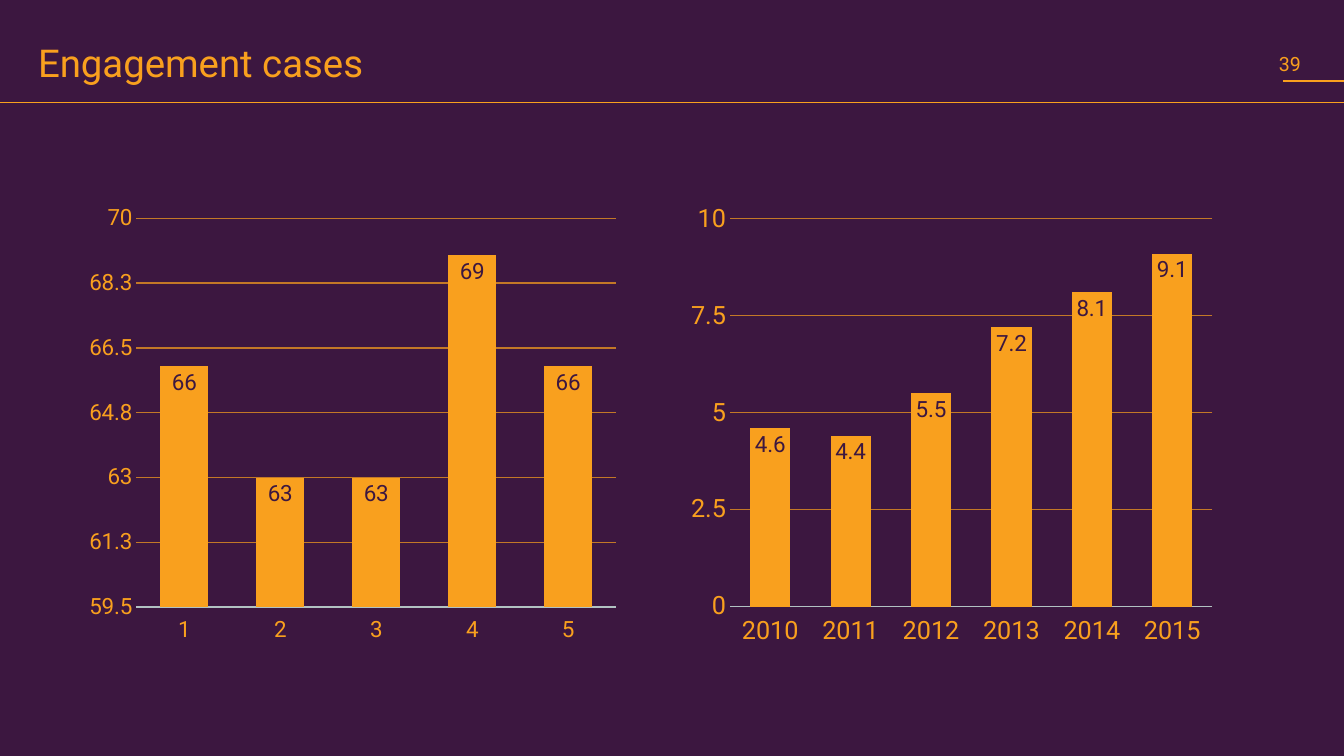
from pptx import Presentation
from pptx.chart.data import CategoryChartData
from pptx.dml.color import RGBColor
from pptx.enum.chart import (XL_CHART_TYPE as CT, XL_LABEL_POSITION as LP,
                             XL_TICK_LABEL_POSITION as TLP, XL_TICK_MARK as TM)
from pptx.enum.shapes import MSO_CONNECTOR as MC
from pptx.enum.text import MSO_ANCHOR as MA, MSO_AUTO_SIZE as AS
from pptx.oxml import parse_xml
from pptx.oxml.ns import nsdecls, qn
from pptx.util import Emu, Pt

ORANGE, PURPLE, GRID, AXIS = "F9A01E", "3C1740", "C37827", "B1C2C2"


def px(n):
    return Emu(round(n * 914400 / 100.8))


def rgb(color):
    return RGBColor.from_string(color)


class Deck:
    """Draws styled elements on the current slide."""

    font, number_format = "Roboto", "0.#"

    def __init__(self):
        self.prs = Presentation()
        self.prs.slide_width, self.prs.slide_height = px(1344), px(756)

    def slide(self, color):
        self.s = self.prs.slides.add_slide(self.prs.slide_layouts[6])
        fill = self.s.background.fill
        fill.solid()
        fill.fore_color.rgb = rgb(color)

    def style(self, font, size, color):
        font.name, font.size = self.font, Pt(size)
        font.color.rgb = rgb(color)

    def line(self, x1, y1, x2, y2, color, width):
        c = self.s.shapes.add_connector(MC.STRAIGHT, *map(px, (x1, y1, x2, y2)))
        c.line.color.rgb, c.line.width = rgb(color), Pt(width)
        c._element.spPr.append(parse_xml(f"<a:effectLst {nsdecls('a')}/>"))

    def text(self, box, text, size, color, inset, anchor=MA.TOP, wrap=True, spacing=1.0):
        tf = self.s.shapes.add_textbox(*map(px, box)).text_frame
        tf.word_wrap, tf.vertical_anchor = wrap, anchor
        tf.auto_size = AS.NONE if wrap else AS.SHAPE_TO_FIT_TEXT
        tf.margin_left = tf.margin_right = tf.margin_top = tf.margin_bottom = px(inset)
        p = tf.paragraphs[0]
        p.line_spacing = spacing
        r = p.add_run()
        r.text = text
        self.style(r.font, size, color)

    def columns(self, box, cats, vals, scale, size, plot_area, overlap=0):
        data = CategoryChartData()
        data.categories = cats
        data.add_series("Series 1", vals)
        chart = self.s.shapes.add_chart(CT.COLUMN_CLUSTERED, *map(px, box), data).chart
        chart.has_title = chart.has_legend = False
        self.style(chart.font, size, ORANGE)
        self.layout(chart, plot_area)

        cat, val = chart.category_axis, chart.value_axis
        for axis in (cat, val):
            axis.major_tick_mark = axis.minor_tick_mark = TM.NONE
            self.style(axis.tick_labels.font, size, ORANGE)
        cat.tick_label_position = TLP.LOW
        cat.format.line.color.rgb, cat.format.line.width = rgb(AXIS), Pt(1)
        val.minimum_scale, val.maximum_scale, val.major_unit = scale
        val.format.line.fill.background()
        grid = val.major_gridlines.format.line
        grid.color.rgb, grid.width = rgb(GRID), Pt(1)

        plot = chart.plots[0]
        plot.gap_width, plot.overlap, plot.vary_by_categories = 100, overlap, False
        fill = plot.series[0].format.fill
        fill.solid()
        fill.fore_color.rgb = rgb(ORANGE)
        labels = plot.series[0].data_labels
        labels.show_value, labels.position = True, LP.INSIDE_END
        self.style(labels.font, 16, PURPLE)
        for target in (val.tick_labels, labels):
            target.number_format = self.number_format
            target.number_format_is_linked = False

    def layout(self, chart, plot_area):
        area = chart._chartSpace.chart.plotArea
        for old in area.findall(qn("c:layout")):
            area.remove(old)
        sizes = "".join(f'<c:{k} val="{v}"/>' for k, v in zip("xywh", plot_area))
        area.insert(0, parse_xml(
            f'<c:layout {nsdecls("c")}><c:manualLayout><c:layoutTarget val="inner"/>'
            f'<c:xMode val="edge"/><c:yMode val="edge"/>{sizes}'
            "</c:manualLayout></c:layout>"))


def main():
    deck = Deck()
    deck.slide(PURPLE)
    deck.line(1283, 81, 1344, 81, ORANGE, 2)
    deck.line(0, 102, 1344, 102, ORANGE, 0.5)
    deck.text((1272, 45, 40, 37), "39", 14, ORANGE, 7, anchor=MA.MIDDLE, wrap=False)
    deck.text((33, 45, 1152, 54), "Engagement cases", 27.4, ORANGE, 5, spacing=0.75)
    deck.columns((73, 192, 546, 464), ["1", "2", "3", "4", "5"], [66, 63, 63, 69, 66],
                 (59.5, 70, 1.75), 16, (0.116, 0.057, 0.879, 0.838), overlap=4)
    deck.columns((674, 188, 549, 473), [str(year) for year in range(2010, 2016)],
                 [4.6, 4.4, 5.5, 7.2, 8.1, 9.1],
                 (0, 10, 2.5), 18, (0.102, 0.065, 0.879, 0.82))
    deck.prs.save("out.pptx")


if __name__ == "__main__":
    main()
